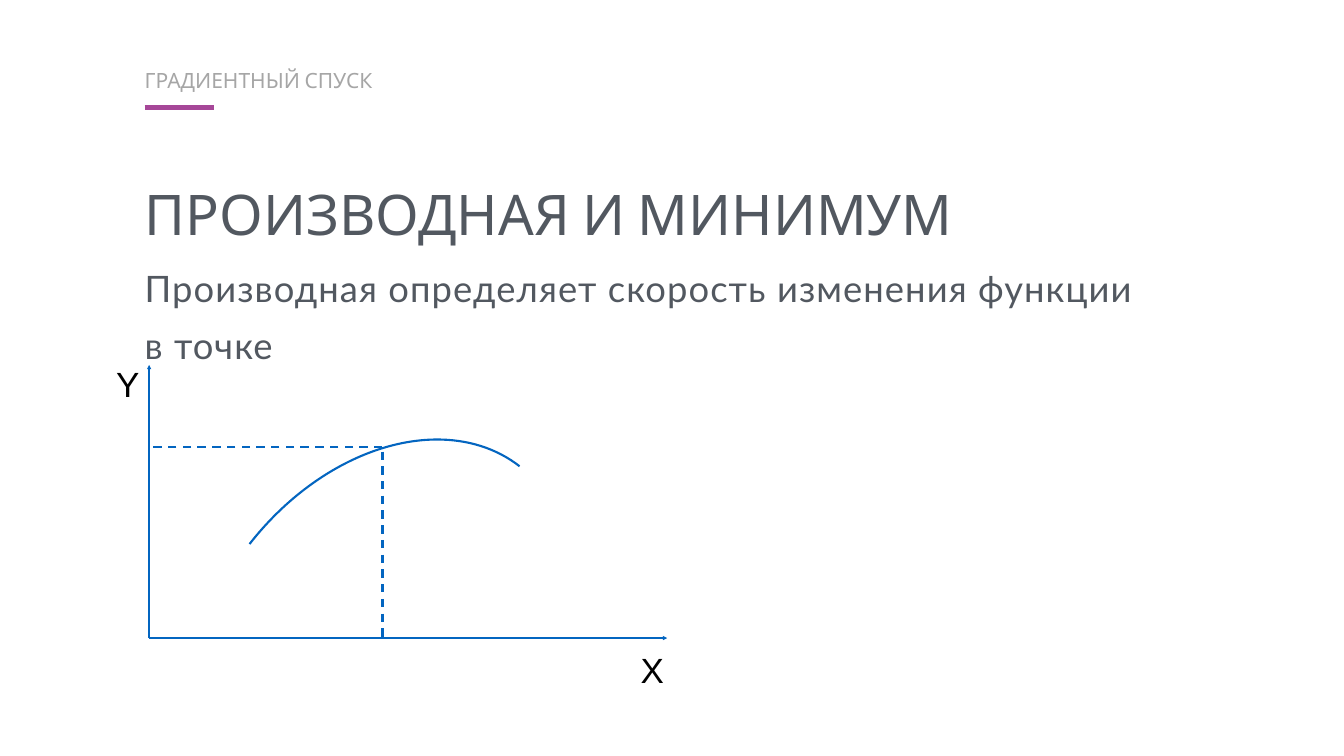
from dataclasses import dataclass

from lxml import etree
from pptx import Presentation
from pptx.dml.color import RGBColor
from pptx.enum.dml import MSO_LINE
from pptx.enum.shapes import MSO_CONNECTOR, MSO_SHAPE
from pptx.enum.text import MSO_AUTO_SIZE, PP_ALIGN
from pptx.oxml.ns import qn
from pptx.util import Inches, Pt

STRAIGHT = MSO_CONNECTOR.STRAIGHT
ARC = MSO_SHAPE.ARC
DASH = MSO_LINE.DASH
FIT = MSO_AUTO_SIZE.SHAPE_TO_FIT_TEXT
CENTER = PP_ALIGN.CENTER


@dataclass(frozen=True)
class Theme:
    ink: str = "525860"
    muted: str = "A6A6A6"
    accent: str = "A64798"
    plot: str = "0365C0"
    label: str = "000000"
    head_font: str = "Cabin"
    body_font: str = "Lato"
    label_font: str = "Arial"
    section_size: int = 30
    title_size: int = 80
    body_size: int = 52
    label_size: int = 50


THEME = Theme()


def add_text(s, box, text, font, size, color):
    """Add a one-paragraph text box and return its text frame."""
    tf = s.shapes.add_textbox(*map(Inches, box)).text_frame
    tf.word_wrap = True
    tf.auto_size = FIT
    p = tf.paragraphs[0]
    p.text = text
    f = p.runs[0].font
    f.name, f.size = font, Pt(size)
    f.color.rgb = RGBColor.from_string(color)
    return tf


def add_heading(s, box, text, font, size, color):
    tf = add_text(s, box, text, font, size, color)
    tf.margin_left = tf.margin_right = Inches(0.06)
    tf.margin_top = tf.margin_bottom = Inches(0.06)
    p = tf.paragraphs[0]
    p.line_spacing = 1.3
    return p


def add_line(s, start, end, color, width, dashed=False, arrow=False):
    cx = s.shapes.add_connector(STRAIGHT, *map(Inches, (*start, *end)))
    cx.line.color.rgb = RGBColor.from_string(color)
    cx.line.width = Pt(width)
    if dashed:
        cx.line.dash_style = DASH
    if arrow:
        etree.SubElement(cx.line._get_or_add_ln(), qn("a:tailEnd"), type="triangle")
    etree.SubElement(cx._element.spPr, qn("a:effectLst"))


def add_header(s, left, top, width):
    """Section name, accent rule, title and lead sentence."""
    t = THEME
    add_heading(s, (left, top, width, 0.71), "ГРАДИЕНТНЫЙ СПУСК",
                t.head_font, t.section_size, t.muted)
    add_line(s, (left + 0.06, top + 1), (left + 1.44, top + 1), t.accent, 7)
    add_heading(s, (left, top + 1.98, width, 1.71), "ПРОИЗВОДНАЯ И МИНИМУМ",
                t.head_font, t.title_size, t.ink)
    p = add_heading(s, (left, top + 3.84, width - 0.98, 1.13),
                    "Производная определяет скорость изменения функции в точке",
                    t.body_font, t.body_size, t.ink)
    p.runs[0].font._element.set("spc", "160")  # letter spacing, 1/100 pt


def add_plot(s, left, top, width, height):
    """Axes with labels, the curve and the dashed projections of a point."""
    t = THEME
    bottom = top + height
    origin = (left, bottom)

    # Axes
    for end in ((left + width, bottom), (left, top)):
        add_line(s, origin, end, t.plot, 2, arrow=True)

    # Axis labels
    for text, x, y in (("X", left + width - 0.63, bottom + 0.15),
                       ("Y", left - 0.76, top - 0.09)):
        tf = add_text(s, (x, y, 0.67, 0.94), text, t.label_font, t.label_size, t.label)
        tf.word_wrap = False
        tf.paragraphs[0].alignment = CENTER

    # Curve
    curve = s.shapes.add_shape(ARC, *map(Inches, (left + 0.07, top + 2.29, 9.02, 6.56)))
    curve.rotation = 307.9
    curve.shadow.inherit = False
    curve.fill.background()
    curve.line.color.rgb = RGBColor.from_string(t.plot)
    curve.line.width = Pt(3)

    # Projections of the point on both axes
    x, y = left + 4.63, top + 1.63
    add_line(s, (x, y + 0.09), (x, bottom), t.plot, 3, dashed=True)
    add_line(s, (x, y), (left, y), t.plot, 3, dashed=True)


def main():
    prs = Presentation()
    prs.slide_width, prs.slide_height = Inches(26.67), Inches(15)
    s = prs.slides.add_slide(prs.slide_layouts[6])
    add_header(s, 2.81, 1.13, 21.18)
    add_plot(s, 2.96, 7.24, 10.28, 5.42)
    prs.save("out.pptx")


if __name__ == "__main__":
    main()
